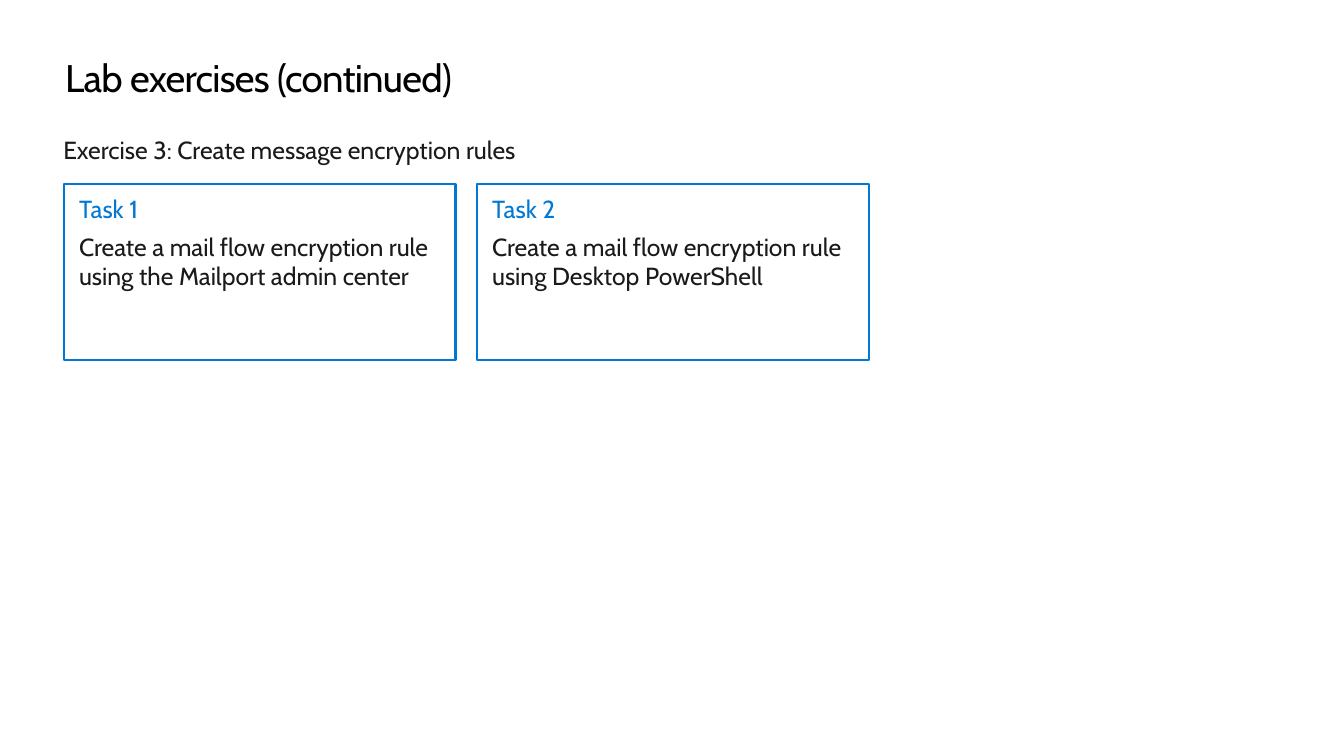
from pptx import Presentation
from pptx.dml.color import RGBColor
from pptx.enum import shapes, text
from pptx.util import Inches, Pt

FONT = "Cabin"
BLACK = RGBColor(0x00, 0x00, 0x00)
INK = RGBColor(0x1A, 0x1A, 0x1A)
BLUE = RGBColor(0x00, 0x78, 0xD4)

TASKS = [
    ("Task 1", "Create a mail flow encryption rule using the Mailport admin center"),
    ("Task 2", "Create a mail flow encryption rule using Desktop PowerShell"),
]
CARD_LEFT, CARD_TOP = 0.65, 1.86
CARD_WIDTH, CARD_HEIGHT = 3.96, 1.78
CARD_PITCH = 4.18


def set_frame(frame, across=0, down=0, anchor=text.MSO_ANCHOR.TOP, wrap=True):
    """Set the insets, anchor and wrapping of a text frame."""
    frame.margin_left = frame.margin_right = Inches(across)
    frame.margin_top = frame.margin_bottom = Inches(down)
    frame.vertical_anchor = anchor
    frame.word_wrap = wrap


def write(para, words, size=18, color=INK, after=0, tracking=None):
    para.alignment = text.PP_ALIGN.LEFT
    para.space_after = Pt(after)
    span = para.add_run()
    span.text = words
    span.font.name = FONT
    span.font.size = Pt(size)
    span.font.color.rgb = color
    if tracking is not None:
        span.font._element.set("spc", str(round(tracking * 100)))


def set_title(page, words):
    title = page.shapes.title
    title.left, title.top = Inches(0.66), Inches(0.55)
    title.width, title.height = Inches(12.29), Inches(0.48)
    set_frame(title.text_frame)
    title.text_frame.auto_size = text.MSO_AUTO_SIZE.SHAPE_TO_FIT_TEXT
    write(title.text_frame.paragraphs[0], words, size=28, color=BLACK, tracking=-0.5)


def add_heading(page, words):
    box = page.shapes.add_textbox(Inches(0.64), Inches(1.36), Inches(4.99), Inches(0.3))
    set_frame(box.text_frame, anchor=text.MSO_ANCHOR.MIDDLE, wrap=False)
    box.text_frame.auto_size = text.MSO_AUTO_SIZE.SHAPE_TO_FIT_TEXT
    write(box.text_frame.paragraphs[0], words)


def add_task_card(page, left, name, description):
    card = page.shapes.add_shape(
        shapes.MSO_SHAPE.RECTANGLE,
        Inches(left), Inches(CARD_TOP), Inches(CARD_WIDTH), Inches(CARD_HEIGHT),
    )
    card.shadow.inherit = False
    card.fill.background()
    card.line.color.rgb = BLUE
    card.line.width = Pt(1.5)
    frame = card.text_frame
    set_frame(frame, across=0.15, down=0.1)
    write(frame.paragraphs[0], name, color=BLUE, after=6)
    write(frame.add_paragraph(), description, after=12)


def main():
    deck = Presentation()
    deck.slide_width, deck.slide_height = Inches(13.6), Inches(7.65)
    page = deck.slides.add_slide(deck.slide_layouts.get_by_name("Title Only"))
    set_title(page, "Lab exercises (continued)")
    add_heading(page, "Exercise 3: Create message encryption rules")
    for index, (name, description) in enumerate(TASKS):
        add_task_card(page, CARD_LEFT + index * CARD_PITCH, name, description)
    deck.save("out.pptx")


if __name__ == "__main__":
    main()
